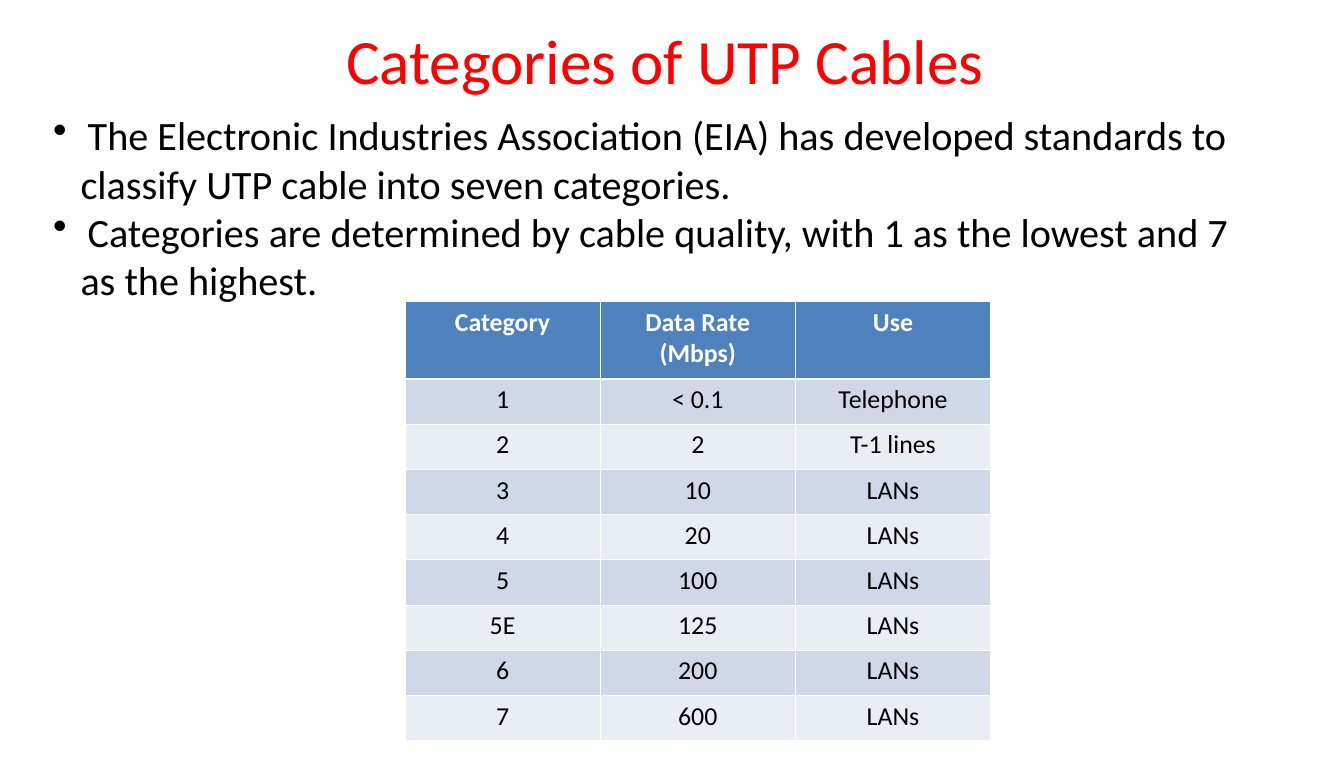
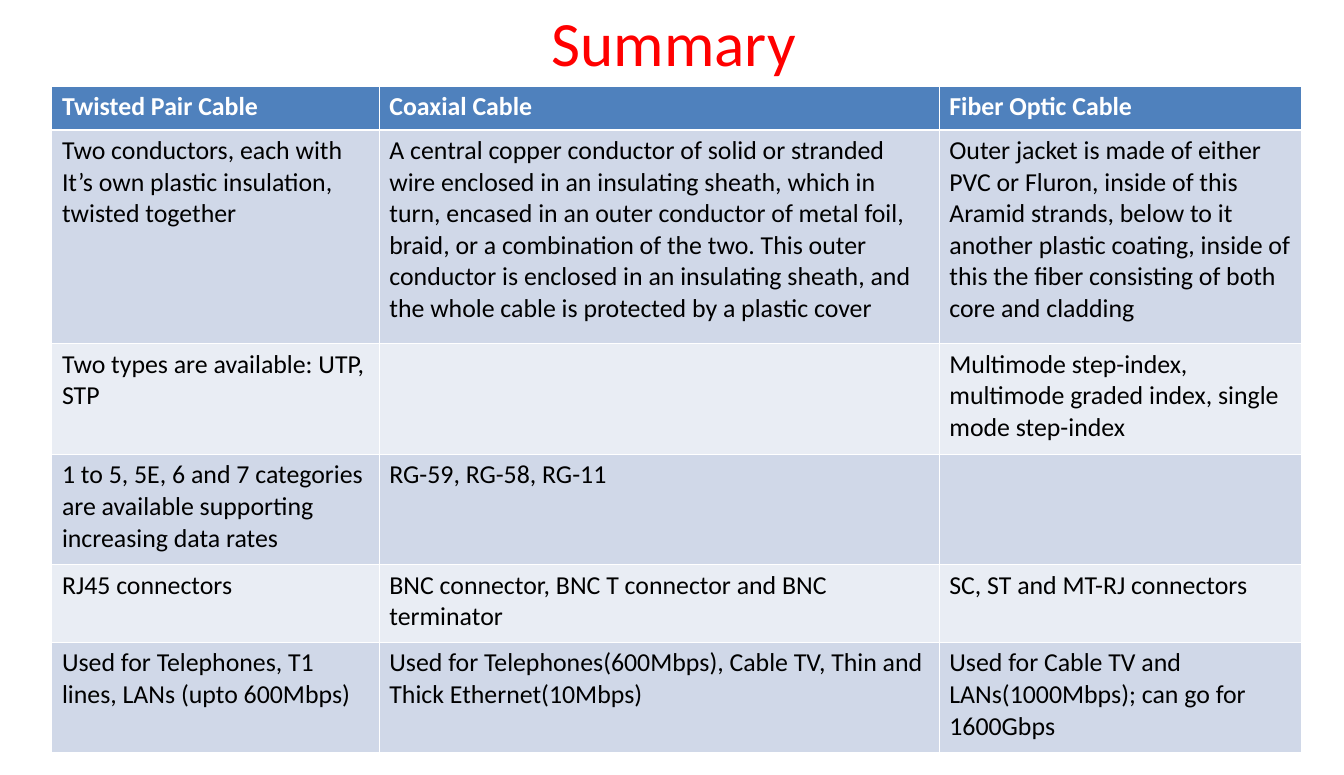
from lxml.etree import SubElement
from pptx import Presentation
from pptx.dml.color import RGBColor
from pptx.enum.text import MSO_ANCHOR, PP_ALIGN
from pptx.oxml.ns import qn
from pptx.util import Pt

# Shared style
FONT = "Calibri"
RED, BLACK, WHITE = "FF0000", "000000", "FFFFFF"
HEADER, BANDS = "4F81BD", ("E9EDF4", "D0D8E8")
THIN, THICK = 0.45, 1.47
LEFT, CENTER = PP_ALIGN.LEFT, PP_ALIGN.CENTER


def write(tf, text, size=18, color=BLACK, bold=False, align=LEFT):
    """Fill a text frame, one paragraph per line of text."""
    tf.word_wrap = True
    for i, line in enumerate(text.split("\n")):
        p = tf.paragraphs[0] if i == 0 else tf.add_paragraph()
        p.alignment = align
        r = p.add_run()
        r.text = line
        r.font.name, r.font.size, r.font.bold = FONT, Pt(size), bold
        r.font.color.rgb = RGBColor.from_string(color)


def add_table(s, left, top, widths, heights, rows, align):
    """Add a table with a blue header, banded rows and white rules."""
    frame = s.shapes.add_table(len(rows), len(widths), Pt(left), Pt(top),
                               Pt(sum(widths)), Pt(sum(heights)))
    table = frame.table
    for column, width in zip(table.columns, widths):
        column.width = Pt(width)
    for i, (row, height) in enumerate(zip(rows, heights)):
        table.rows[i].height = Pt(height)
        for j, text in enumerate(row):
            cell = table.cell(i, j)
            tcPr = cell._tc.get_or_add_tcPr()
            for side in "LRTB":
                thick = (i, side) in ((0, "B"), (1, "T"))
                ln = SubElement(tcPr, qn(f"a:ln{side}"),
                                w=str(int(Pt(THICK if thick else THIN))))
                fill = SubElement(ln, qn("a:solidFill"))
                SubElement(fill, qn("a:srgbClr"), val=WHITE)
            cell.fill.solid()
            cell.fill.fore_color.rgb = RGBColor.from_string(BANDS[i % 2] if i else HEADER)
            if text:
                write(cell.text_frame, text, color=BLACK if i else WHITE,
                      bold=i == 0, align=align)


prs = Presentation()
prs.slide_width, prs.slide_height = Pt(936), Pt(540)

# Slides with their titles: left, top, width, height
slides = []
for title, box in (("Categories of UTP Cables", (65.5, 24, 795.5, 35)),
                   ("Summary", (48, 3.5, 842.5, 50.5))):
    s = prs.slides.add_slide(prs.slide_layouts[6])
    tf = s.shapes.add_textbox(*map(Pt, box)).text_frame
    tf.margin_left = tf.margin_right = tf.margin_top = tf.margin_bottom = 0
    tf.vertical_anchor = MSO_ANCHOR.MIDDLE
    write(tf, title, size=44, color=RED, align=CENTER)
    slides.append(s)
categories, summary = slides

# Introduction: bulleted lines, each with an indented second line
tf = categories.shapes.add_textbox(Pt(30), Pt(73.5), Pt(876), Pt(142)).text_frame
write(tf, "The Electronic Industries Association (EIA) has developed standards to\n"
          "classify UTP cable into seven categories.\n"
          "Categories are determined by cable quality, with 1 as the lowest and 7\n"
          "as the highest.", size=28)
for i, p in enumerate(tf.paragraphs):
    pPr = p._p.get_or_add_pPr()
    if i % 2:
        pPr.set("marL", str(Pt(19)))
    else:
        pPr.set("marL", str(Pt(24)))
        pPr.set("indent", str(Pt(-24)))
        SubElement(pPr, qn("a:buChar"), char="•")

# Category table
add_table(categories, 282, 210, [136] * 3, [54] + [31.5] * 8, [
    ("Category", "Data Rate (Mbps)", "Use"),
    ("1", "< 0.1", "Telephone"),
    ("2", "2", "T-1 lines"),
    ("3", "10", "LANs"),
    ("4", "20", "LANs"),
    ("5", "100", "LANs"),
    ("5E", "125", "LANs"),
    ("6", "200", "LANs"),
    ("7", "600", "LANs"),
], CENTER)

# Cable comparison table
add_table(summary, 36, 60, [228, 390, 252], [30.5, 149, 77, 77, 54, 77], [
    ("Twisted Pair Cable", "Coaxial Cable", "Fiber Optic Cable"),
    ("Two conductors, each with\nIt’s own plastic insulation,\ntwisted together",
     "A central copper conductor of solid or stranded wire enclosed in an "
     "insulating sheath, which in turn, encased in an outer conductor of metal "
     "foil, braid, or a combination of the two. This outer conductor is enclosed "
     "in an insulating sheath, and the whole cable is protected by a plastic cover",
     "Outer jacket is made of either PVC or Fluron, inside of this Aramid "
     "strands, below to it another plastic coating, inside of this the fiber "
     "consisting of both core and cladding"),
    ("Two types are available: UTP, STP", "",
     "Multimode step-index, multimode graded index, single mode step-index"),
    ("1 to 5, 5E, 6 and 7 categories are available supporting increasing data rates",
     "RG-59, RG-58, RG-11", ""),
    ("RJ45 connectors", "BNC connector, BNC T connector and BNC terminator",
     "SC, ST and MT-RJ connectors"),
    ("Used for Telephones, T1 lines, LANs (upto 600Mbps)",
     "Used for Telephones(600Mbps), Cable TV, Thin and Thick Ethernet(10Mbps)",
     "Used for Cable TV and LANs(1000Mbps); can go for 1600Gbps"),
], LEFT)

prs.save("out.pptx")
